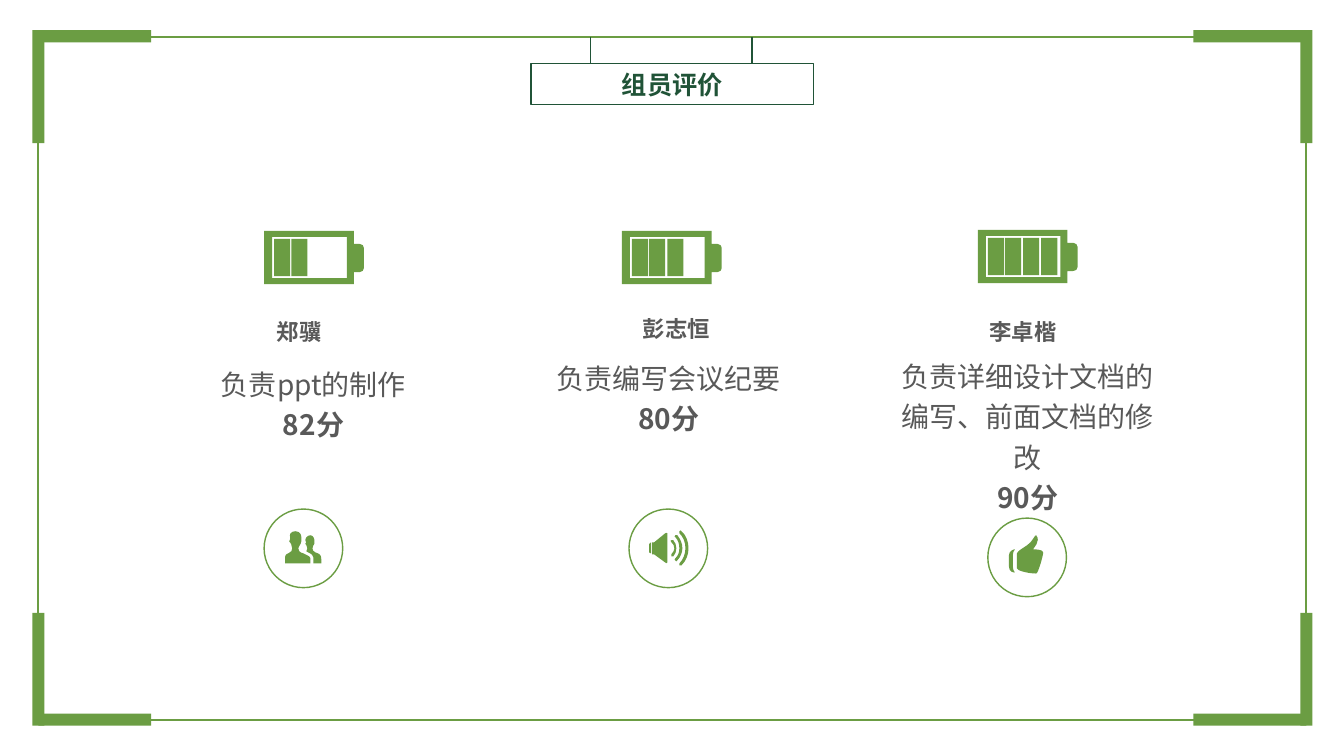
import pptx
import pptx.dml.color
import pptx.enum.shapes
import pptx.enum.text
import pptx.oxml
import pptx.oxml.ns
import pptx.util

PX = 9144  # EMU per px, 100 px to the inch
LEAF = pptx.dml.color.RGBColor(0x6B, 0x9D, 0x43)
FOREST = pptx.dml.color.RGBColor(0x20, 0x53, 0x37)
GREY = pptx.dml.color.RGBColor(0x59, 0x59, 0x59)
FONT = "Noto Sans CJK SC"
SHAPES = pptx.enum.shapes.MSO_SHAPE
CENTER = pptx.enum.text.PP_ALIGN.CENTER

# ---- Content ----
TITLE = "组员评价"

# Each outline is a start point, then lines (x, y) and curves (x1, y1, x2, y2, x, y),
# measured from the top left of the icon's circle.
PERSON_BACK = [
    (57, 54), (57, 54, 57, 47, 56, 46), (56, 45, 54, 44, 51, 43), (49, 42, 48, 41, 48, 39),
    (48, 38, 49, 38, 49, 36), (49, 35, 50, 36, 50, 34), (50, 33), (50, 33, 50, 32, 50, 31),
    (50, 30, 49, 26, 46, 26), (42, 26, 41, 30, 41, 31), (41, 32, 42, 33, 42, 33),
    (42, 33, 41, 33, 41, 34), (41, 36, 42, 35, 42, 36), (43, 38, 43, 38, 43, 39),
    (43, 40, 43, 41, 42, 42), (48, 45, 49, 46, 49, 48), (49, 54)]
PERSON_FRONT = [
    (39, 44), (35, 43, 34, 41, 34, 39), (34, 37, 35, 38, 36, 35), (36, 33, 37, 35, 37, 32),
    (37, 31, 37, 30, 37, 30), (37, 30, 37, 29, 37, 28), (37, 26, 36, 22, 31, 22),
    (26, 22, 25, 26, 26, 28), (26, 29, 26, 30, 26, 30), (26, 30, 25, 31, 25, 32),
    (26, 35, 27, 33, 27, 35), (27, 38, 28, 37, 28, 39), (28, 41, 27, 43, 24, 44),
    (22, 45, 21, 45, 21, 47), (21, 54), (46, 54), (46, 54, 46, 50, 46, 49),
    (46, 47, 43, 46, 39, 44)]
SPEAKER_CONE = [
    (36, 24), (25, 33), (25, 33, 24, 33, 23, 33), (23, 45), (24, 45, 25, 45, 25, 45),
    (36, 53), (36, 53, 38, 55, 38, 53), (38, 51, 38, 26, 38, 24), (38, 23, 36, 24, 36, 24)]
SPEAKER_BACK = [
    (20, 35), (20, 37, 20, 41, 20, 43), (20, 43, 21, 44, 22, 44), (22, 33),
    (21, 34, 20, 34, 20, 35)]
WAVE_SMALL = [
    (44, 31), (43, 30, 43, 30, 42, 31), (41, 31, 41, 32, 42, 33), (44, 34, 45, 37, 45, 39),
    (45, 41, 44, 43, 42, 45), (41, 46, 41, 46, 42, 47), (42, 47, 43, 47, 43, 47),
    (43, 47, 44, 47, 44, 47), (46, 45, 47, 42, 47, 39), (47, 36, 46, 33, 44, 31)]
WAVE_MIDDLE = [
    (48, 26), (47, 26, 46, 26, 46, 26), (45, 27, 45, 28, 46, 28), (49, 31, 50, 35, 50, 39),
    (50, 43, 49, 46, 46, 49), (45, 50, 45, 51, 46, 51), (46, 52, 46, 52, 47, 52),
    (47, 52, 47, 52, 48, 51), (51, 48, 53, 43, 53, 39), (53, 34, 51, 30, 48, 26)]
WAVE_LARGE = [
    (52, 22), (52, 21, 51, 21, 50, 22), (50, 22, 50, 23, 50, 24), (54, 28, 56, 33, 56, 39),
    (56, 44, 54, 50, 50, 54), (50, 54, 50, 55, 50, 56), (51, 56, 51, 56, 51, 56),
    (52, 56, 52, 56, 52, 56), (57, 51, 59, 45, 59, 39), (59, 33, 57, 26, 52, 22)]
THUMB_HAND = [
    (45, 31), (45, 30, 53, 23, 48, 17), (47, 16, 44, 24, 39, 27), (36, 29, 29, 33, 29, 35),
    (29, 50), (29, 52, 40, 55, 48, 55), (50, 55, 55, 37, 55, 34), (55, 31, 46, 31, 45, 31)]
THUMB_CUFF = [
    (27, 31), (26, 31, 21, 32, 21, 37), (21, 48), (21, 54, 26, 54, 27, 54),
    (28, 54, 25, 53, 25, 49), (25, 36), (25, 32, 28, 31, 27, 31)]

BATTERY = [
    [(89, 13), (89, 0), (0, 0), (0, 53), (89, 53), (89, 41), (92, 41, 99, 42, 99, 37),
     (99, 17), (99, 12, 92, 13, 89, 13)],
    [(82, 47), (8, 47), (8, 6), (82, 6)]]

# An icon is a list of shapes, and a shape is a list of outlines.
MEMBERS = [
    dict(name="郑骥", duty="负责ppt的制作", score="82分", cells=2,
         battery=(262, 229), name_box=(184, 311, 226, 37), duty_box=(179, 353, 264, 110),
         circle=(262, 505), icon=[[PERSON_BACK, PERSON_FRONT]]),
    dict(name="彭志恒", duty="负责编写会议纪要", score="80分", cells=3,
         battery=(617, 229), name_box=(558, 308, 226, 37), duty_box=(533, 347, 261, 116),
         circle=(624, 505), icon=[[SPEAKER_CONE], [SPEAKER_BACK], [WAVE_SMALL],
                                  [WAVE_MIDDLE], [WAVE_LARGE]]),
    dict(name="李卓楷", duty="负责详细设计文档的编写、前面文档的修改", score="90分", cells=4,
         battery=(970, 228), name_box=(902, 311, 226, 37), duty_box=(883, 345, 273, 116),
         circle=(980, 514), icon=[[THUMB_HAND, THUMB_CUFF]]),
]

deck = pptx.Presentation()
deck.slide_width, deck.slide_height = pptx.util.Inches(40 / 3), 750 * PX
page = deck.slides.add_slide(deck.slide_layouts[6])


# ---- Helpers ----
def paint(shape, fill=None, line=None, width=1):
    shape.shadow.inherit = False
    if fill is None:
        shape.fill.background()
    else:
        shape.fill.solid()
        shape.fill.fore_color.rgb = fill
    if line is None:
        shape.line.fill.background()
    else:
        shape.line.color.rgb = line
        shape.line.width = pptx.util.Pt(width)
    return shape


def add_box(kind, frame, **look):
    return paint(page.shapes.add_shape(kind, *(v * PX for v in frame)), **look)


def add_outlines(outlines, origin):
    def place(point):
        return tuple((base + v) * PX for base, v in zip(origin, point))

    builder = page.shapes.build_freeform(*place(outlines[0][0]))
    for number, (start, *parts) in enumerate(outlines):
        if number:
            builder.move_to(*place(start))
        builder.add_line_segments([place(part[-2:]) for part in parts], close=True)
    shape = paint(builder.convert_to_shape(), fill=LEAF)

    # Give the curved segments their two control points
    parts = [part for outline in outlines for part in outline[1:]]
    segments = list(shape._element.iter(pptx.oxml.ns.qn("a:lnTo")))
    for part, segment in zip(parts, segments):
        if len(part) == 6:
            segment.tag = pptx.oxml.ns.qn("a:cubicBezTo")
            for index in (0, 1):
                x, y = place(part[2 * index:2 * index + 2])
                control = segment.makeelement(
                    pptx.oxml.ns.qn("a:pt"),
                    {"x": str(x - shape.left), "y": str(y - shape.top)})
                segment.insert(index, control)


def write(para, text, size, color, bold=False, **spacing):
    for key, value in dict(alignment=CENTER, **spacing).items():
        setattr(para, key, value)
    span = para.add_run()
    span.text = text
    for key, value in dict(name=FONT, size=pptx.util.Pt(size), bold=bold).items():
        setattr(span.font, key, value)
    span.font.color.rgb = color
    east_asian = pptx.oxml.ns.qn("a:ea")
    span.font._element.append(span.font._element.makeelement(east_asian, {"typeface": FONT}))


def add_text(frame):
    box = page.shapes.add_textbox(*(v * PX for v in frame))
    box.text_frame.word_wrap = True
    return box.text_frame


# ---- Frame with heavy corners ----
add_box(SHAPES.RECTANGLE, (38, 37, 1258, 677), line=LEAF, width=1.5)
for bar_x, post_x in ((38, 32), (1184, 1290)):
    for bar_y, post_y in ((30, 30), (708, 608)):
        add_box(SHAPES.RECTANGLE, (bar_x, bar_y, 112, 12), fill=LEAF)
        add_box(SHAPES.RECTANGLE, (post_x, post_y, 12, 112), fill=LEAF)

# ---- Hanging title ----
sign = add_box(SHAPES.RECTANGLE, (527, 63, 280, 41), line=FOREST)
sign.text_frame.vertical_anchor = pptx.enum.text.MSO_ANCHOR.MIDDLE
write(sign.text_frame.paragraphs[0], TITLE, 18, FOREST, bold=True)
for x in (586, 746):
    cord = page.shapes.add_connector(pptx.enum.shapes.MSO_CONNECTOR.STRAIGHT,
                                     x * PX, 37 * PX, x * PX, 64 * PX)
    cord.line.color.rgb = FOREST
    cord.line.width = pptx.util.Pt(1)
    properties = cord._element.spPr
    properties.append(properties.makeelement(pptx.oxml.ns.qn("a:effectLst"), {}))

# ---- Members ----
for member in MEMBERS:
    left, top = member["battery"]
    add_outlines(BATTERY, (left, top))
    for cell in range(member["cells"]):
        add_box(SHAPES.RECTANGLE, (left + 10 + cell * 53 // 3, top + 8, 16, 37), fill=LEAF)

    add_box(SHAPES.OVAL, (*member["circle"], 78, 78), line=LEAF)
    for outlines in member["icon"]:
        add_outlines(outlines, member["circle"])

    write(add_text(member["name_box"]).paragraphs[0], member["name"], 16, GREY, bold=True,
          space_after=pptx.util.Pt(6))
    duty = add_text(member["duty_box"])
    write(duty.paragraphs[0], member["duty"], 20, GREY, line_spacing=1.2)
    write(duty.add_paragraph(), member["score"], 20, GREY, bold=True, line_spacing=1.2)

deck.save("out.pptx")
